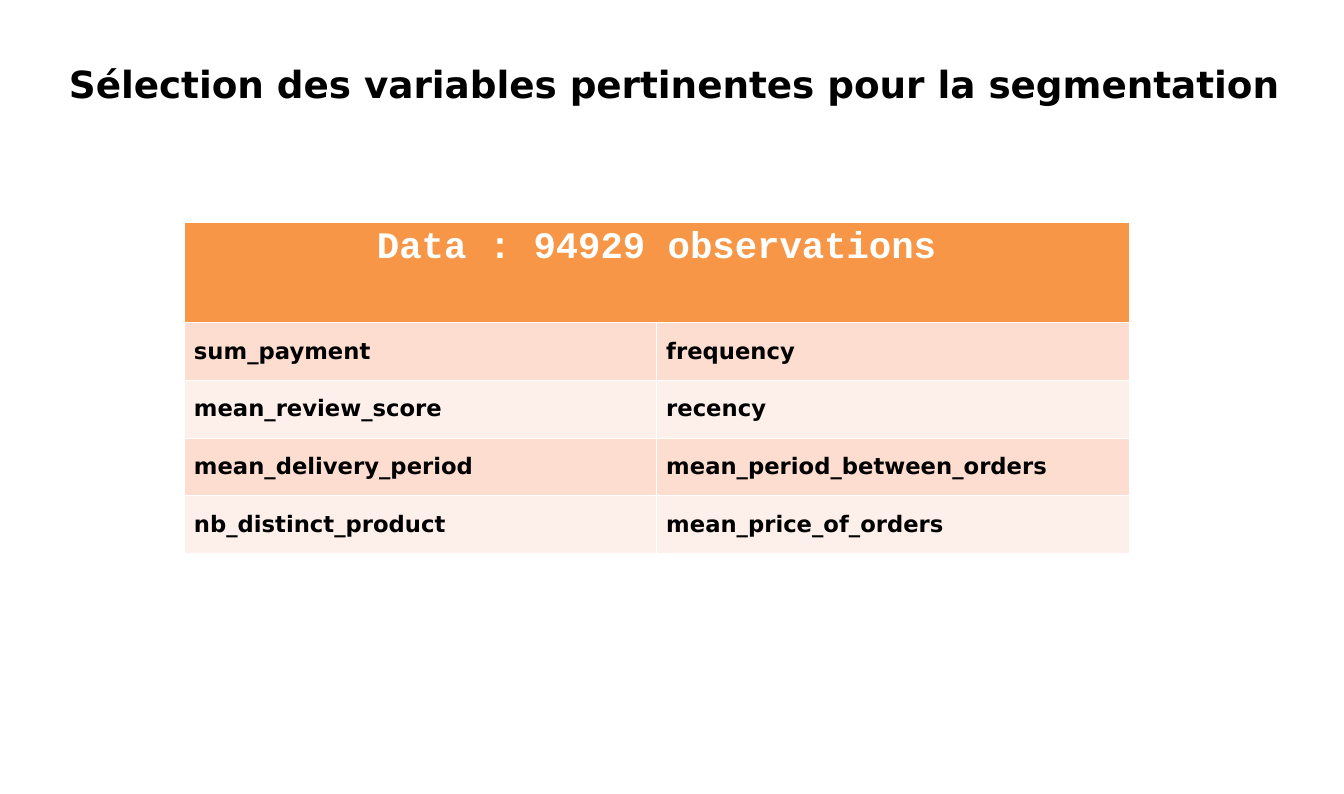
from lxml.etree import SubElement
from pptx import Presentation
from pptx.dml.color import RGBColor
from pptx.enum.text import MSO_ANCHOR, PP_ALIGN
from pptx.oxml.ns import qn
from pptx.util import Inches, Pt

TITLE = "Sélection des variables pertinentes pour la segmentation"
HEADING = "Data : 94929 observations"
VARIABLES = [
    ("sum_payment", "frequency"),
    ("mean_review_score", "recency"),
    ("mean_delivery_period", "mean_period_between_orders"),
    ("nb_distinct_product", "mean_price_of_orders"),
]
THEME = {
    "text": "000000",
    "white": "FFFFFF",
    "heading": "F79646",
    "bands": ("FCDDCF", "FDEFE9"),
    "body_font": "DejaVu Sans",
    "heading_font": "Courier New",
    "large": 28,
    "small": 17,
    "thin": 0.45,
    "thick": 1.47,
}
HEADING_HEIGHT, ROW_HEIGHT, COLUMN_WIDTH = 1.04, 0.6, 4.92


def style_text(paragraph, size, font, color):
    for run in paragraph.runs:
        run.font.size = Pt(size)
        run.font.name = font
        run.font.bold = True
        run.font.color.rgb = RGBColor.from_string(color)


def add_borders(cell, widths):
    properties = cell._tc.get_or_add_tcPr()
    for side, width in widths.items():
        border = SubElement(properties, qn(f"a:{side}"), w=str(Pt(width)))
        fill = SubElement(border, qn("a:solidFill"))
        SubElement(fill, qn("a:srgbClr"), val=THEME["white"])


def fill_cell(cell, color, row):
    thin, thick = THEME["thin"], THEME["thick"]
    add_borders(cell, {
        "lnL": thin,
        "lnR": thin,
        "lnT": thick if row == 1 else thin,
        "lnB": thick if row == 0 else thin,
    })
    cell.fill.solid()
    cell.fill.fore_color.rgb = RGBColor.from_string(color)


def add_title(slide):
    title = slide.shapes.add_textbox(Inches(0.62), Inches(0.36), Inches(12.9), Inches(0.83))
    title.text_frame.word_wrap = True
    paragraph = title.text_frame.paragraphs[0]
    paragraph.text = TITLE
    paragraph.alignment = PP_ALIGN.JUSTIFY
    paragraph.line_spacing = 1.5
    indent = Inches(0.43)
    properties = paragraph._p.get_or_add_pPr()
    properties.set("marL", str(indent))
    properties.set("indent", str(-indent))
    style_text(paragraph, THEME["large"], THEME["body_font"], THEME["text"])


def add_variables(slide):
    height = HEADING_HEIGHT + ROW_HEIGHT * len(VARIABLES)
    table = slide.shapes.add_table(
        len(VARIABLES) + 1, 2, Inches(1.92), Inches(2.32),
        Inches(2 * COLUMN_WIDTH), Inches(height)).table
    for column in table.columns:
        column.width = Inches(COLUMN_WIDTH)
    for index, row in enumerate(table.rows):
        row.height = Inches(ROW_HEIGHT if index else HEADING_HEIGHT)

    heading = table.cell(0, 0)
    heading.merge(table.cell(0, 1))
    for column in range(2):
        fill_cell(table.cell(0, column), THEME["heading"], 0)
    paragraph = heading.text_frame.paragraphs[0]
    paragraph.text = HEADING
    paragraph.alignment = PP_ALIGN.CENTER
    style_text(paragraph, THEME["large"], THEME["heading_font"], THEME["white"])

    for row, names in enumerate(VARIABLES, start=1):
        for column, name in enumerate(names):
            cell = table.cell(row, column)
            fill_cell(cell, THEME["bands"][(row - 1) % 2], row)
            cell.vertical_anchor = MSO_ANCHOR.MIDDLE
            paragraph = cell.text_frame.paragraphs[0]
            paragraph.text = name
            style_text(paragraph, THEME["small"], THEME["body_font"], THEME["text"])


def main():
    deck = Presentation()
    deck.slide_width, deck.slide_height = Inches(14), Inches(8.27)
    slide = deck.slides.add_slide(deck.slide_layouts[6])
    add_title(slide)
    add_variables(slide)
    deck.save("out.pptx")


if __name__ == "__main__":
    main()
